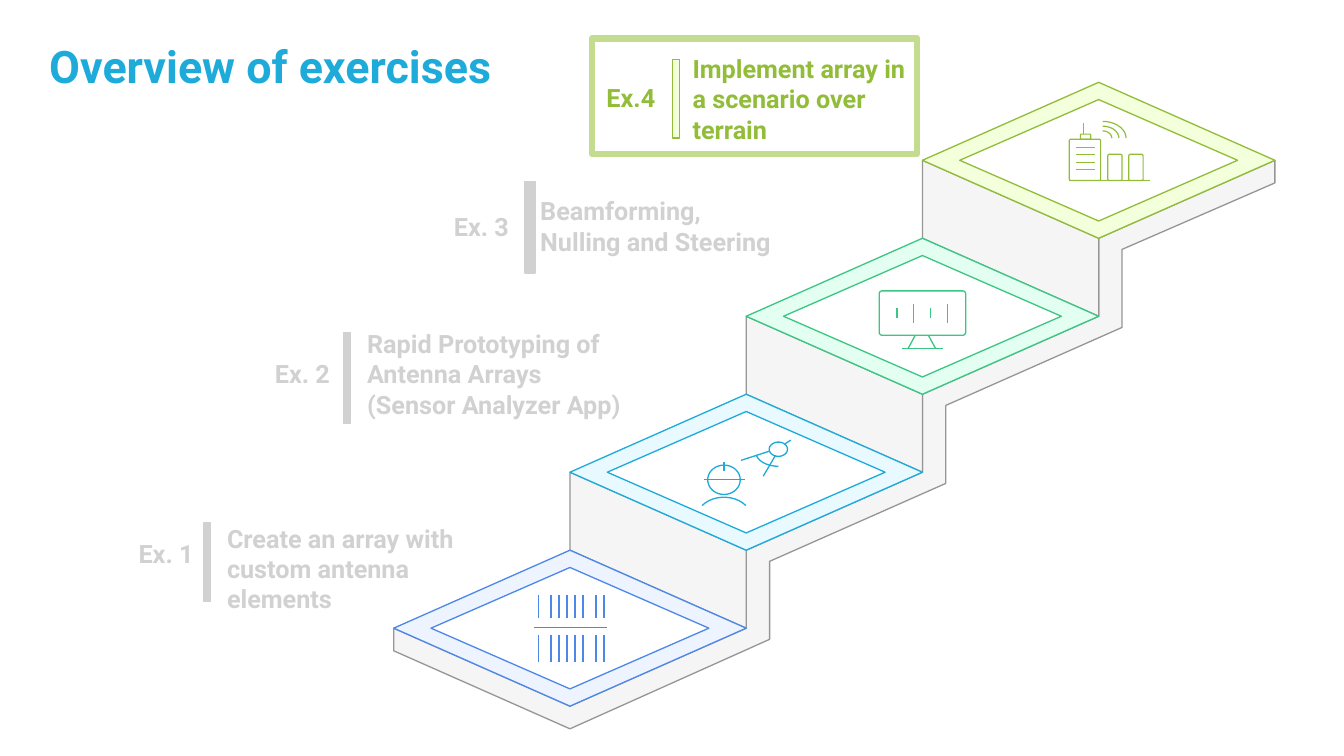
from dataclasses import dataclass
from math import cos, radians, sin
from typing import NamedTuple

from pptx import Presentation
from pptx.dml.color import RGBColor
from pptx.enum.shapes import MSO_SHAPE
from pptx.enum.text import MSO_AUTO_SIZE, PP_ALIGN
from pptx.util import Cm, Pt

WHITE = RGBColor(0xFF, 0xFF, 0xFF)
GREY = RGBColor(0xD1, 0xD1, 0xD1)
STONE = RGBColor(0xF5, 0xF5, 0xF5)
EDGE = RGBColor(0x96, 0x96, 0x96)
BLUE = RGBColor(0x4E, 0x88, 0xE7)
PALE_BLUE = RGBColor(0xED, 0xF4, 0xFF)
CYAN = RGBColor(0x1E, 0xAB, 0xDA)
PALE_CYAN = RGBColor(0xE8, 0xF9, 0xFF)
GREEN = RGBColor(0x3C, 0xC5, 0x83)
PALE_GREEN = RGBColor(0xE3, 0xFF, 0xF2)
LIME = RGBColor(0x92, 0xBD, 0x39)
PALE_LIME = RGBColor(0xF4, 0xFF, 0xDC)
FRAME = RGBColor(0xC4, 0xDC, 0x90)

# Stair geometry in cm: first tile centre, half sizes, rise per step
LEFT, BASE = 14.36, 15.83
WIDE, RISE = 4.44, 3.93
HIGH = RISE / 2
IN_WIDE, IN_HIGH = 3.5, 1.53
THICK = 0.57
SHIFT_X, SHIFT_Y = 0.59, 0.28
THIN = 0.94


class Point(NamedTuple):
    x: float
    y: float


class Box(NamedTuple):
    left: float
    top: float
    width: float
    height: float


Line = list[Point]


@dataclass
class Label:
    mark: str
    mark_box: Box
    bar: Box
    text: str
    text_box: Box
    ink: RGBColor
    fill: RGBColor


@dataclass
class Step:
    ink: RGBColor
    fill: RGBColor
    icon: list[Line]
    weight: float


# Outline helpers
def seg(x1: float, y1: float, x2: float, y2: float) -> Line:
    return [Point(x1, y1), Point(x2, y2)]


def arc(x: float, y: float, rx: float, ry: float, start: int = 0, end: int = 360) -> Line:
    count = max(8, (end - start) // 10)
    turns = [radians(start + (end - start) * n / count) for n in range(count + 1)]
    return [Point(x + rx * cos(t), y + ry * sin(t)) for t in turns]


def pane(left: float, top: float, right: float, foot: float, r: float) -> Line:
    """Closed rectangle with rounded corners."""
    spots = [(right - r, foot - r, 0), (left + r, foot - r, 90),
             (left + r, top + r, 180), (right - r, top + r, 270)]
    line = [p for x, y, turn in spots for p in arc(x, y, r, r, turn, turn + 90)]
    return line + line[:1]


def diamond(mid: Point, wide: float, high: float) -> Line:
    return [Point(mid.x + wide, mid.y), Point(mid.x, mid.y + high),
            Point(mid.x - wide, mid.y), Point(mid.x, mid.y - high)]


# Drawing helpers
def paint(shape, fill: RGBColor | None, ink: RGBColor, weight: float) -> None:
    shape.shadow.inherit = False
    if fill is None:
        shape.fill.background()
    else:
        shape.fill.solid()
        shape.fill.fore_color.rgb = fill
    shape.line.color.rgb = ink
    shape.line.width = Pt(weight)


def trace(lines: list[Line], fill: RGBColor | None, ink: RGBColor,
          weight: float = THIN, close: bool = True) -> None:
    pen = None
    for line in lines:
        spots = [(Cm(p.x), Cm(p.y)) for p in line]
        if pen is None:
            pen = slide.shapes.build_freeform(*spots[0])
        else:
            pen.move_to(*spots[0])
        pen.add_line_segments(spots[1:], close=close)
    paint(pen.convert_to_shape(), fill, ink, weight)


def block(box: Box, fill: RGBColor | None, ink: RGBColor, weight: float) -> None:
    shape = slide.shapes.add_shape(MSO_SHAPE.RECTANGLE, *map(Cm, box))
    paint(shape, fill, ink, weight)


def write(text: str, box: Box, ink: RGBColor, size: int = 18,
          align: PP_ALIGN = PP_ALIGN.LEFT, tight: bool = True) -> None:
    frame = slide.shapes.add_textbox(*map(Cm, box)).text_frame
    frame.word_wrap = True
    if tight:
        frame.auto_size = MSO_AUTO_SIZE.SHAPE_TO_FIT_TEXT
        for side in ("left", "top", "right", "bottom"):
            setattr(frame, f"margin_{side}", Cm(0))
    frame.text = text
    style = {"name": "Roboto", "size": Pt(size), "bold": True}
    for part in frame.paragraphs:
        part.alignment = align
        for key, value in style.items():
            setattr(part.font, key, value)
        part.font.color.rgb = ink


# Icons, measured in cm from the tile centre
ROWS = [(-0.84, -0.25), (0.18, 0.84)]
COLS = [-0.79, -0.48, -0.28, -0.08, 0.13, 0.33, 0.66, 0.86]
ARRAY = [seg(x, top, x, foot) for top, foot in ROWS for x in COLS]
ARRAY.append(seg(-0.91, -0.02, 0.94, -0.02))

DESIGN = [
    arc(0.81, -0.51, 0.57, 0.36, 90, 165), arc(0.81, -0.58, 0.23, 0.18),
    seg(0.74, -0.43, 0.43, 0.1), seg(-0.13, -0.3, 0.58, -0.53),
    seg(0.97, -0.71, 1.12, -0.81), arc(-0.56, 1.12, 0.67, 0.49, 215, 325),
    seg(-0.56, -0.25, -0.56, -0.03), seg(-1.07, 0.18, -0.03, 0.18),
    arc(-0.56, 0.19, 0.41, 0.37),
]

SCREEN = [
    pane(-1.09, -0.64, 1.09, 0.48, 0.08), seg(-0.51, 0.81, 0.51, 0.81),
    seg(-0.36, 0.81, -0.18, 0.48), seg(0.33, 0.81, 0.15, 0.48),
    *[seg(x, -0.2, x, 0.05) for x in (-0.64, 0.2)],
    *[seg(x, -0.3, x, 0.18) for x in (-0.23, 0.64)],
]

CITY = [
    seg(-0.74, 0.51, 1.3, 0.51), pane(-0.74, -0.53, 0.05, 0.51, 0.04),
    *[pane(x, -0.15, x + 0.36, 0.51, 0.04) for x in (0.23, 0.76)],
    pane(-0.46, -0.66, -0.2, -0.53, 0.03), seg(-0.38, -0.66, -0.38, -0.94),
    *[seg(-0.56, -0.33 + 0.19 * n, -0.1, -0.33 + 0.19 * n) for n in range(4)],
    *[arc(0.1, -0.56, 0.23 + 0.18 * n, 0.18 + 0.12 * n, 270, 360) for n in range(3)],
]

STEPS = [
    Step(BLUE, PALE_BLUE, ARRAY, 1.12),
    Step(CYAN, PALE_CYAN, DESIGN, THIN),
    Step(GREEN, PALE_GREEN, SCREEN, THIN),
    Step(LIME, PALE_LIME, CITY, 0.84),
]

LABELS = [
    Label("Ex. 1", Box(3.45, 13.56, 1.47, 0.77), Box(5.13, 13.18, 0.18, 1.98),
          "Create an array with custom antenna elements",
          Box(5.72, 13.18, 5.89, 2.31), GREY, GREY),
    Label("Ex. 2", Box(6.58, 9.04, 2.08, 0.77), Box(8.66, 8.38, 0.16, 2.29),
          "Rapid Prototyping of Antenna Arrays\n(Sensor Analyzer App)",
          Box(9.25, 8.28, 6.45, 2.31), GREY, GREY),
    Label("Ex. 3", Box(10.95, 5.33, 2.36, 0.77), Box(13.23, 4.57, 0.25, 2.31),
          "Beamforming, Nulling and Steering",
          Box(13.61, 4.93, 5.85, 1.55), GREY, GREY),
    Label("Ex.4", Box(15.16, 2.08, 1.47, 0.77), Box(16.94, 1.5, 0.18, 1.98),
          "Implement array in a scenario over terrain",
          Box(17.45, 1.35, 5.72, 2.31), LIME, PALE_LIME),
]

deck = Presentation()
deck.slide_width, deck.slide_height = Cm(33.86), Cm(19.05)
slide = deck.slides.add_slide(deck.slide_layouts[6])
slide.background.fill.solid()
slide.background.fill.fore_color.rgb = WHITE

# Labels and title
for label in LABELS:
    block(label.bar, label.fill, label.ink, THIN)
    write(label.mark, label.mark_box, label.ink, align=PP_ALIGN.CENTER)
    write(label.text, label.text_box, label.ink)
write("Overview of exercises", Box(0.99, 0.84, 12.22, 2.74), CYAN, 32, tight=False)

# Side of the stairs: front edge up, lower edge back down
mids = [Point(LEFT + WIDE * n, BASE - RISE * n) for n in range(len(STEPS))]
tiles = [diamond(mid, WIDE, HIGH) for mid in mids]
front = [p for right, foot, *_ in tiles for p in (foot, right)]
lower = [Point(p.x + SHIFT_X, p.y + SHIFT_Y) for p in front[1:-1]]
start, end, foot = tiles[0][2], front[-1], front[0]
ends = [Point(p.x, p.y + THICK) for p in (end, foot, start)]
trace([[start, *front, ends[0], *lower[::-1], *ends[1:]]], STONE, EDGE)

# Risers between neighbouring tiles
for low, high in zip(tiles, tiles[1:]):
    trace([[low[0], low[3], high[2], high[1]]], STONE, EDGE)

# Tiles with icons
for step, mid, tile in zip(STEPS, mids, tiles):
    trace([tile, diamond(mid, IN_WIDE, IN_HIGH)[::-1]], step.fill, step.ink)
    icon = [[Point(mid.x + p.x, mid.y + p.y) for p in line] for line in step.icon]
    trace(icon, None, step.ink, step.weight, close=False)

# Frame around the current exercise
block(Box(14.91, 0.97, 8.2, 2.92), None, FRAME, 4.5)

deck.save("out.pptx")
